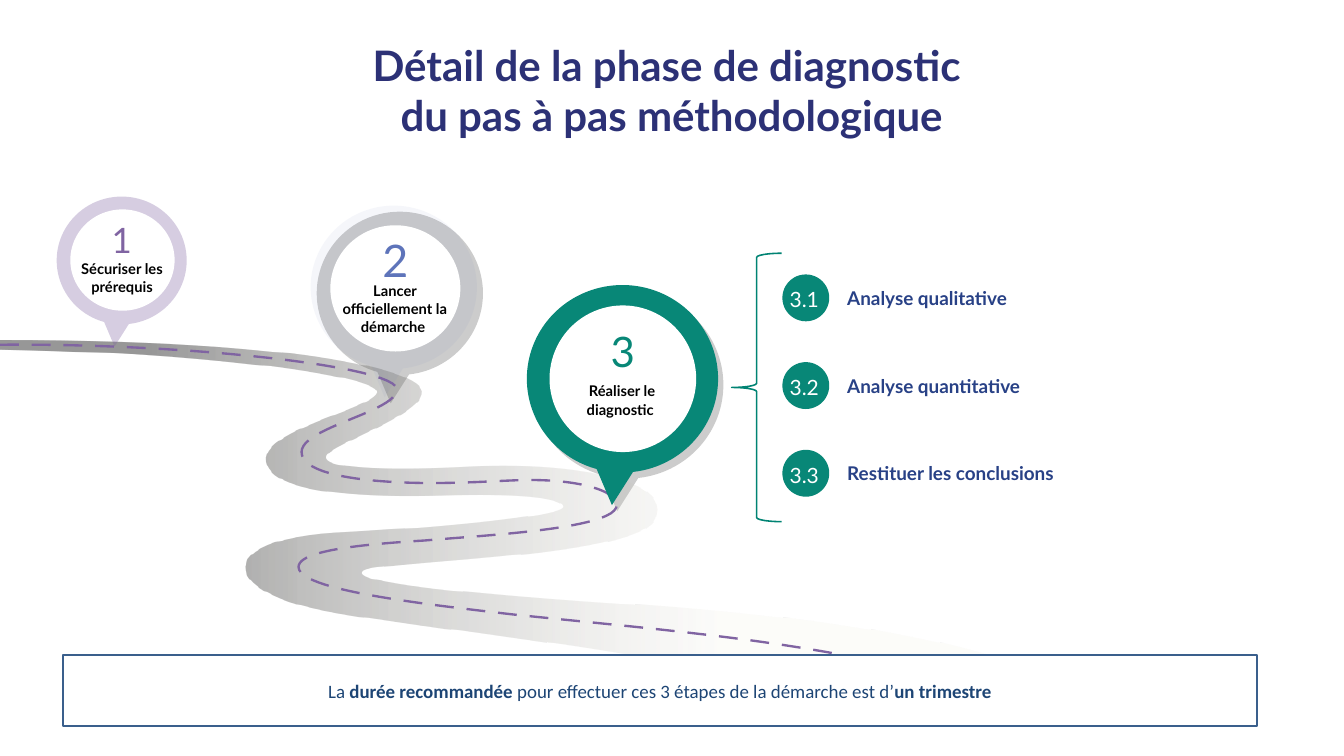
import dataclasses

import pptx
import pptx.dml.color
import pptx.enum.shapes
import pptx.enum.text
import pptx.oxml
import pptx.oxml.ns
import pptx.util
from lxml import etree

COLUMNS, ROWS = 177.8, 100  # grid of square cells
CELL = pptx.util.Inches(0.1)
SHAPES = pptx.enum.shapes.MSO_SHAPE
ALIGN = pptx.enum.text.PP_ALIGN
ANCHOR = pptx.enum.text.MSO_ANCHOR


@dataclasses.dataclass(frozen=True)
class Theme:
    heading_font: str = "Lato"
    note_font: str = "Calibri"
    title: str = "2C3176"
    label: str = "284186"
    note: str = "1D4575"
    note_border: str = "3A5F8C"
    green: str = "088777"
    brace: str = "008373"
    purple: str = "8064A2"
    blue: str = "5E74BA"
    black: str = "000000"
    shadow: str = "010101"
    sand: str = "EEECE1"
    white: str = "FFFFFF"
    title_size: float = 40
    label_size: float = 18
    badge_size: float = 20
    step_size: float = 14
    step_spacing: float = 17.3


@dataclasses.dataclass(frozen=True)
class Step:
    """One pin: boxes are (left, top, width, height) in grid cells."""
    number: str
    caption: str
    color: str
    opacity: int
    number_size: float
    callout: tuple
    disc: tuple
    number_box: tuple
    caption_box: tuple


def sample_curves(start, curves, steps=24):
    """Points along a chain of cubic curves; a single pair is a straight line."""
    points = [start]
    for curve in curves:
        if len(curve) == 2:
            points.append(curve)
            continue
        x0, y0 = points[-1]
        x1, y1, x2, y2, x3, y3 = curve
        for index in range(1, steps + 1):
            t = index / steps
            weights = ((1 - t) ** 3, 3 * t * (1 - t) ** 2, 3 * t * t * (1 - t), t ** 3)
            points.append((sum(w * x for w, x in zip(weights, (x0, x1, x2, x3))),
                           sum(w * y for w, y in zip(weights, (y0, y1, y2, y3)))))
    return points


class SlideBuilder:
    def __init__(self, slide, theme):
        self.slide = slide
        self.theme = theme

    def rgb(self, color):
        return pptx.dml.color.RGBColor.from_string(color)

    def cells(self, *values):
        return [int(value * CELL) for value in values]

    def set_opacity(self, fill_element, percents):
        colors = fill_element.iter(pptx.oxml.ns.qn("a:srgbClr"))
        for color, percent in zip(colors, percents):
            alpha = etree.SubElement(color, pptx.oxml.ns.qn("a:alpha"))
            alpha.set("val", str(percent * 1000))

    def shape(self, kind, box, fill=None, opacity=100, line=None, line_width=1.5):
        shape = self.slide.shapes.add_shape(kind, *self.cells(*box))
        shape.shadow.inherit = False
        if fill:
            shape.fill.solid()
            shape.fill.fore_color.rgb = self.rgb(fill)
            if opacity < 100:
                self.set_opacity(shape.element.spPr, [opacity])
        else:
            shape.fill.background()
        if line:
            shape.line.color.rgb = self.rgb(line)
            shape.line.width = pptx.util.Pt(line_width)
        else:
            shape.line.fill.background()
        return shape

    def callout(self, box, fill, opacity):
        shape = self.shape(SHAPES.OVAL_CALLOUT, box, fill, opacity)
        shape.adjustments[0] = -0.055
        shape.adjustments[1] = 0.674

    def style(self, paragraph, size, color, bold=False, font=None,
              align=ALIGN.CENTER, spacing=None):
        paragraph.alignment = align
        if spacing:
            paragraph.line_spacing = pptx.util.Pt(spacing)
        paragraph.font.name = font or self.theme.heading_font
        paragraph.font.size = pptx.util.Pt(size)
        paragraph.font.bold = bold
        paragraph.font.color.rgb = self.rgb(color)

    def text(self, box, text, size, color, wrap=True, anchor=ANCHOR.MIDDLE,
             inset=True, **style):
        frame = self.slide.shapes.add_textbox(*self.cells(*box)).text_frame
        frame.word_wrap = wrap
        frame.vertical_anchor = anchor
        if not inset:
            frame.margin_left = frame.margin_right = 0
            frame.margin_top = frame.margin_bottom = 0
        frame.text = ""
        frame.paragraphs[0].text = text
        self.style(frame.paragraphs[0], size, color, **style)

    def outline(self, points, close):
        points = [self.cells(*point) for point in points]
        builder = self.slide.shapes.build_freeform(*points[0], scale=1.0)
        builder.add_line_segments(points[1:], close=close)
        shape = builder.convert_to_shape()
        shape.shadow.inherit = False
        return shape

    def road(self, points):
        shape = self.outline(points, close=True)
        shape.line.fill.background()
        shape.fill.gradient()
        shape.fill.gradient_angle = 0
        stops = ((0.13, self.theme.black), (0.64, self.theme.sand))
        for stop, (position, color) in zip(shape.fill.gradient_stops, stops):
            stop.position = position
            stop.color.rgb = self.rgb(color)
        self.set_opacity(shape.element.spPr, [40, 15])

    def lane_marking(self, points):
        shape = self.outline(points, close=False)
        shape.fill.background()
        shape.line.color.rgb = self.rgb(self.theme.purple)
        shape.line.width = pptx.util.Pt(2.25)
        dash = pptx.oxml.parse_xml(
            f'<a:custDash {pptx.oxml.ns.nsdecls("a")}><a:ds d="800000" sp="550000"/></a:custDash>')
        shape.line.fill  # the dash follows the line's fill
        shape.element.spPr.find(pptx.oxml.ns.qn("a:ln")).append(dash)

    def pin(self, step):
        self.callout(step.callout, step.color, step.opacity)
        self.shape(SHAPES.OVAL, step.disc, self.theme.white)
        self.text(step.number_box, step.number, step.number_size, step.color, wrap=False)
        self.text(step.caption_box, step.caption, self.theme.step_size, self.theme.black,
                  bold=True, spacing=self.theme.step_spacing)

    def substep(self, top, number, label):
        theme = self.theme
        self.shape(SHAPES.OVAL, (103.5, top, 6.2, 6.2), theme.green)
        self.text((103.4, top + 0.75, 6, 4.4), number, theme.badge_size, theme.white,
                  wrap=False, anchor=ANCHOR.TOP, spacing=26.7)
        self.text((111.1, top + 1.1, 50, 4), label, theme.label_size, theme.label,
                  anchor=ANCHOR.TOP, bold=True, align=ALIGN.LEFT)

    def note(self, box, runs):
        shape = self.shape(SHAPES.RECTANGLE, box, self.theme.white,
                           line=self.theme.note_border, line_width=2)
        shape.text_frame.vertical_anchor = ANCHOR.MIDDLE
        paragraph = shape.text_frame.paragraphs[0]
        self.style(paragraph, self.theme.label_size, self.theme.note, font=self.theme.note_font)
        for text, bold in runs:
            run = paragraph.add_run()
            run.text = text
            run.font.bold = bold


ROAD = sample_curves((0, 45), [
    (0, 46.2), (28.8, 46.7, 50.4, 49.8, 49.8, 51.9), (49.2, 54, 34.3, 56.9, 35.1, 61),
    (35.8, 65.1, 47.2, 65.8, 58.5, 65.5), (69.8, 65.2, 74.4, 65.9, 74.4, 67),
    (74.4, 68.1, 59.7, 69.6, 44.1, 70.4), (28.5, 71.3, 28.8, 78, 42.8, 80.7),
    (56.8, 83.4, 102.2, 87.3, 120.2, 94.9), (149.9, 94.9),
    (136.9, 84.8, 107, 81.3, 83, 79.8), (58.9, 78.3, 46, 76.8, 48, 75.4),
    (50, 74, 84.3, 73.8, 86.6, 68.6), (89.2, 63, 74.5, 61.1, 62, 61.7),
    (50.3, 62.3, 40.6, 61.9, 43.6, 59.7), (46.6, 57.6, 58.9, 53.4, 55, 50.7),
    (51.2, 47.9, 34.5, 45, 0, 45)])
LANE = sample_curves((0, 45.6), [
    (25, 45.4, 52.5, 48.5, 52.5, 51.5), (52.5, 54.5, 39.9, 56.5, 39.9, 59.8),
    (39.9, 63.6, 53, 63.9, 57, 63.9), (63, 63.9, 67, 63.5, 70.2, 63.5),
    (77, 63.5, 81.6, 65, 81.6, 66.8), (81.6, 70, 64, 70.8, 56.2, 71.5),
    (48, 72, 39.5, 72.8, 39.5, 75), (39.5, 78, 55, 79.8, 68, 81.3),
    (92, 83.8, 123, 86, 135.6, 94.9)])


def main():
    presentation = pptx.Presentation()
    presentation.slide_width = int(COLUMNS * CELL)
    presentation.slide_height = int(ROWS * CELL)
    theme = Theme()
    builder = SlideBuilder(presentation.slides.add_slide(presentation.slide_layouts[6]), theme)

    for shadow_box in ((70.4, 38.5, 25.3, 24.8), (41.9, 28, 22, 21.6)):
        builder.callout(shadow_box, theme.shadow, 20)
    builder.road(ROAD)
    builder.lane_marking(LANE)
    for step in (
        Step("3", "Réaliser le diagnostic ", theme.green, 100, 40, (69.7, 37.7, 25.3, 24.8),
             (72.7, 40.4, 19.4, 19.4), (79.8, 42.5, 5.1, 7.7), (76.1, 50.1, 12.4, 5.6)),
        Step("2", "Lancer officiellement la démarche ", theme.blue, 6, 42.7, (41.1, 27.2, 22, 21.6),
             (43.7, 29.8, 17.2, 16.7), (49.6, 30.2, 5.4, 8.2), (43.6, 36.8, 17.3, 8)),
        Step("1", "Sécuriser les prérequis", theme.purple, 32, 33.3, (7.5, 26, 17.2, 16.9),
             (9.3, 27.7, 13.8, 13.4), (13.8, 28.4, 4.6, 6.6), (9, 33.9, 14.3, 5.6)),
    ):
        builder.pin(step)

    builder.shape(SHAPES.LEFT_BRACE, (96.8, 33.5, 6.6, 35.5), line=theme.brace)
    labels = ("Analyse qualitative", "Analyse quantitative", "Restituer les conclusions")
    for index, label in enumerate(labels):
        builder.substep(36.3 + 11.6 * index, f"3.{index + 1}", label)

    builder.note((8.3, 86.7, 158, 9.3), (
        ("La ", False), ("durée recommandée ", True),
        ("pour effectuer ces 3 étapes de la démarche est d’", False), ("un trimestre", True)))
    builder.text((10.9, 5.2, 155.9, 13.5),
                 "Détail de la phase de diagnostic \vdu pas à pas méthodologique",
                 theme.title_size, theme.title, anchor=ANCHOR.TOP, inset=False, bold=True)
    presentation.save("out.pptx")


if __name__ == "__main__":
    main()
